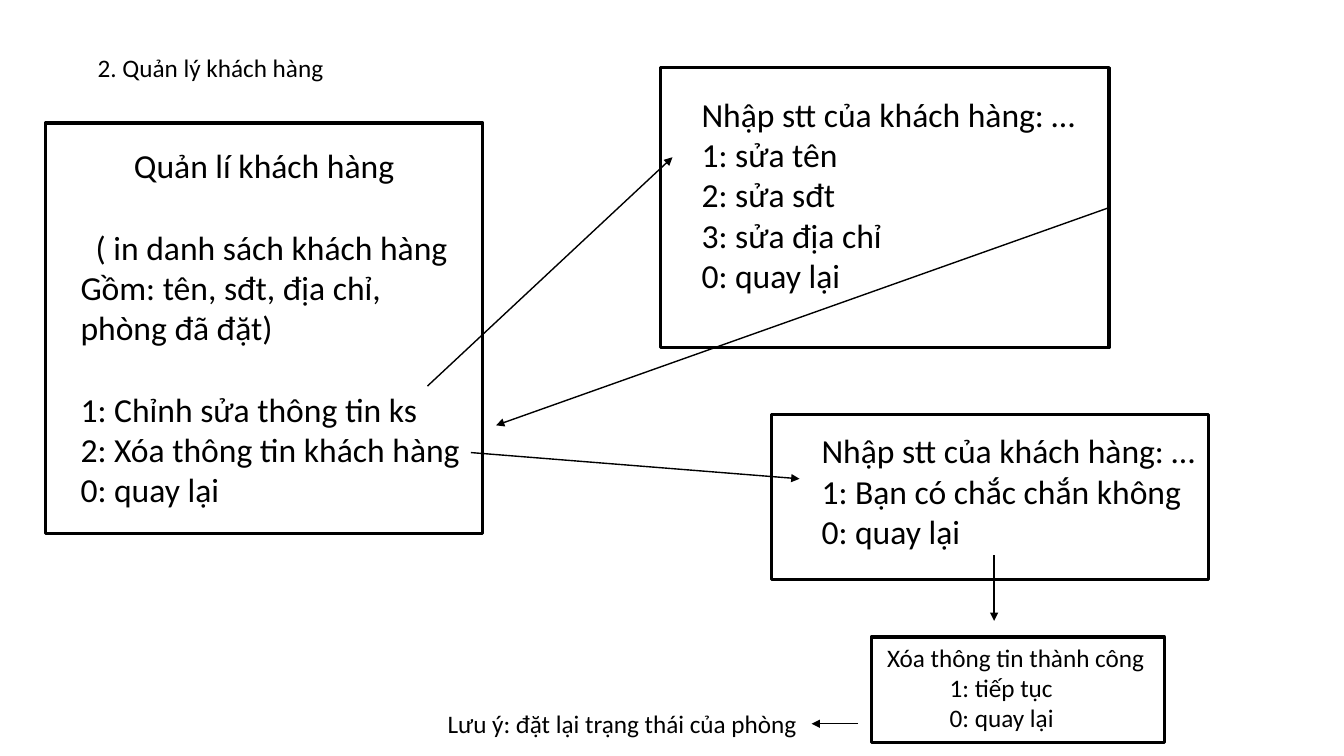
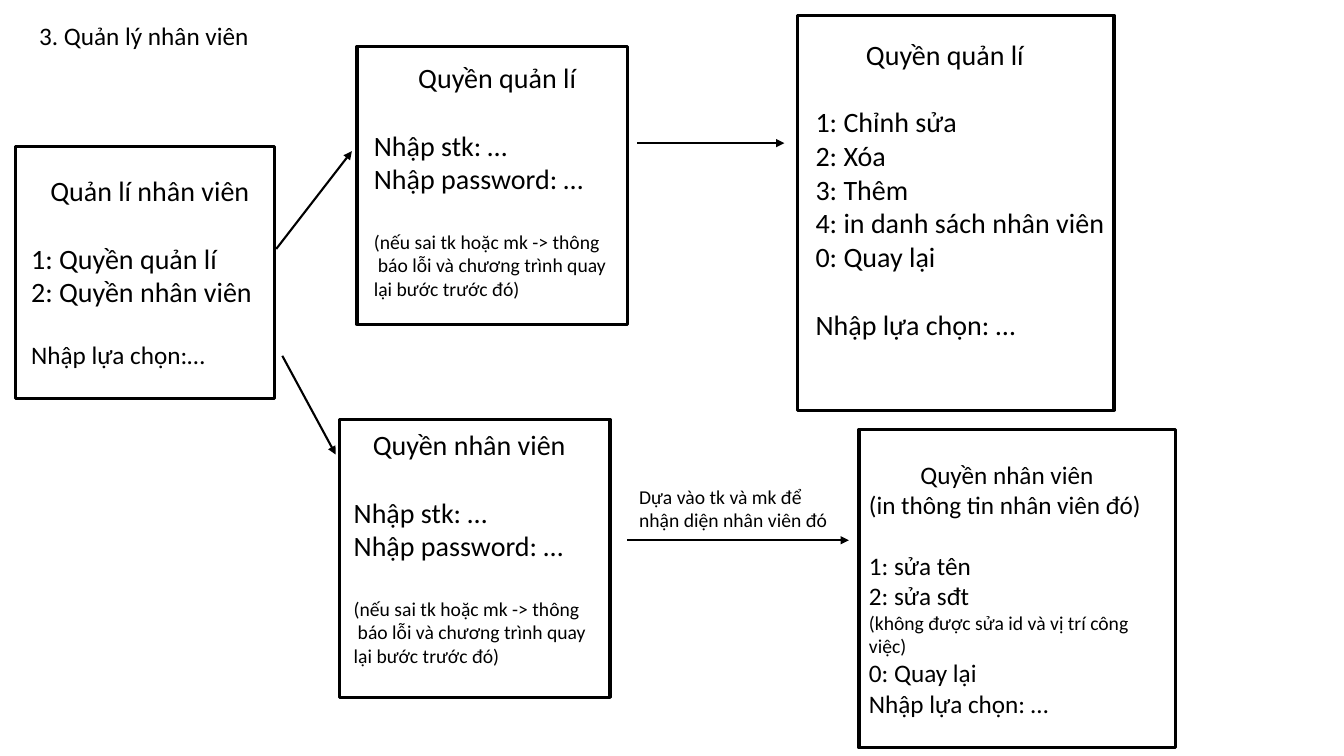
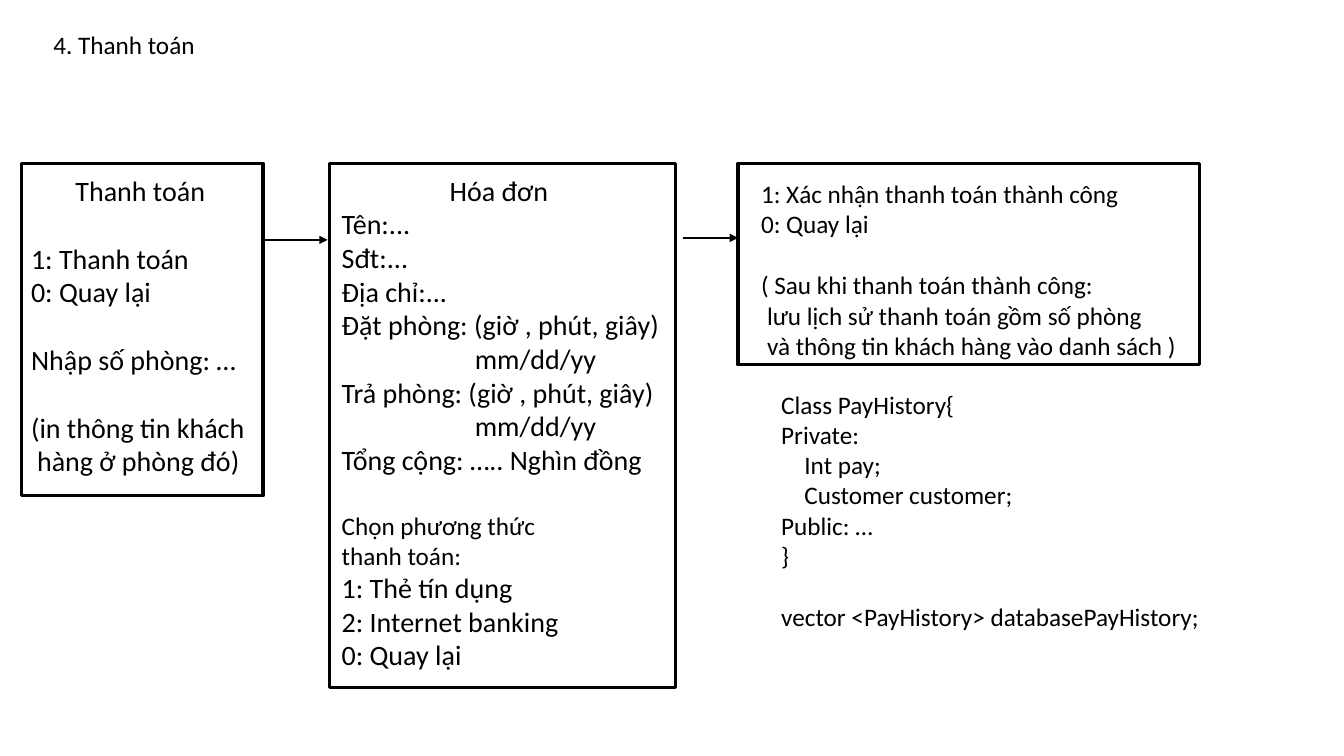
import pptx
import pptx.util
import pptx.dml.color
import pptx.enum.shapes
import pptx.enum.text
import pptx.oxml
import pptx.oxml.ns
from lxml import etree

Inches, Pt = pptx.util.Inches, pptx.util.Pt
RGB = pptx.dml.color.RGBColor.from_string
COLORS = {"ink": "000000", "paper": "FFFFFF"}
LINE_HEIGHT = 1.22

prs = pptx.Presentation()
prs.slide_width, prs.slide_height = Inches(13.33), Inches(7.5)


def write(tf, size, lines, wrap):
    tf.word_wrap = wrap
    for i, line in enumerate(lines):
        text, fmt = (line, {}) if isinstance(line, str) else line
        p = tf.paragraphs[0] if i == 0 else tf.add_paragraph()
        p.alignment = pptx.enum.text.PP_ALIGN.LEFT
        if "gap" in fmt:
            p.space_before = Pt(round(fmt["gap"] * LINE_HEIGHT, 1))
        if "indent" in fmt:
            p._p.get_or_add_pPr().set("marL", str(Inches(fmt["indent"])))
        r = p.add_run()
        r.text = text
        font = {"name": "Calibri", "size": Pt(fmt.get("size", size))}
        for name, value in font.items():
            setattr(r.font, name, value)
        r.font.color.rgb = RGB(COLORS["ink"])


login = [
    "Nhập stk: …",
    "Nhập password: …",
    ("(nếu sai tk hoặc mk -> thông", {"size": 14, "gap": 20}),
    ("báo lỗi và chương trình quay", {"size": 14, "indent": 0.04}),
    ("lại bước trước đó)", {"size": 14}),
]
login[0] = (login[0], {"gap": 20})

customers = {
    "title": ("2. Quản lý khách hàng", 0.87, 0.47, 2.68),
    "boxes": [
        (8.64, 6.32, 2.91, 1.05),
        (7.65, 4.11, 4.34, 1.64),
        (6.55, 0.67, 4.45, 2.78),
        (0.45, 1.22, 4.34, 4.07),
    ],
    "texts": [
        ((0.7, 1.39, 4.08, 3.74), 24, True, [
            ("Quản lí khách hàng", {"indent": 0.53}),
            ("( in danh sách khách hàng", {"indent": 0.15, "gap": 24}),
            "Gồm: tên, sđt, địa chỉ, phòng đã đặt)",
            ("1: Chỉnh sửa thông tin ks", {"gap": 24}),
            "2: Xóa thông tin khách hàng",
            "0: quay lại",
        ]),
        ((6.86, 0.88, 3.94, 2.12), 24, False, [
            "Nhập stt của khách hàng: …",
            "1: sửa tên",
            "2: sửa sđt",
            "3: sửa địa chỉ",
            "0: quay lại",
        ]),
        ((8.05, 4.22, 3.94, 1.31), 24, False, [
            "Nhập stt của khách hàng: …",
            "1: Bạn có chắc chắn không",
            "0: quay lại",
        ]),
        ((8.7, 6.32, 2.79, 1.01), 18, False, [
            "Xóa thông tin thành công",
            ("1: tiếp tục", {"indent": 0.62}),
            ("0: quay lại", {"indent": 0.62}),
        ]),
        ((4.34, 6.98, 3.71, 0.4), 18, False, ["Lưu ý: đặt lại trạng thái của phòng"]),
    ],
    "arrows": [
        (4.24, 3.83, 6.67, 1.56, 1),
        (4.67, 4.49, 7.93, 4.75, 1),
        (11, 2.06, 4.92, 4.22, 1),
        (9.86, 5.51, 9.86, 6.16, 1),
        (8.51, 7.18, 8.05, 7.18, 0.5),
    ],
}

staff = {
    "title": ("3. Quản lý nhân viên", 0.29, 0.15, 2.52),
    "boxes": [
        (7.91, 0.15, 3.14, 3.92),
        (0.15, 1.45, 2.57, 2.5),
        (3.54, 0.46, 2.68, 2.76),
        (3.37, 4.16, 2.68, 2.76),
        (8.52, 4.26, 3.14, 3.16, [
            ("Quyền nhân viên", {"indent": 0.51}),
            "(in thông tin nhân viên đó)",
            ("1: sửa tên", {"gap": 18}),
            "2: sửa sđt",
            ("(không được sửa id và vị trí công việc)", {"size": 14}),
            "0: Quay lại",
            "Nhập lựa chọn: …",
        ]),
    ],
    "texts": [
        ((7.99, 0.32, 3.09, 3.43), 20, False, [
            ("Quyền quản lí", {"indent": 0.5}),
            ("1: Chỉnh sửa", {"gap": 20}),
            "2: Xóa",
            "3: Thêm",
            "4: in danh sách nhân viên",
            "0: Quay lại",
            ("Nhập lựa chọn: …", {"gap": 20}),
        ]),
        ((0.21, 1.67, 2.45, 2.05), 20, False, [
            ("Quản lí nhân viên", {"indent": 0.19}),
            ("1: Quyền quản lí", {"gap": 20}),
            "2: Quyền nhân viên",
            ("Nhập lựa chọn:…", {"size": 18, "gap": 18}),
        ]),
        ((3.61, 0.55, 2.6, 3.13), 20, False, [("Quyền quản lí", {"indent": 0.44})] + login),
        ((3.41, 4.19, 2.6, 3.13), 20, False, [("Quyền nhân viên", {"indent": 0.19})] + login),
        ((6.24, 4.76, 2.09, 0.57), 14, False, ["Dựa vào tk và mk để", "nhận diện nhân viên đó"]),
    ],
    "arrows": [
        (2.74, 2.47, 3.49, 1.5, 1.5),
        (6.32, 1.42, 7.78, 1.42, 1.5),
        (2.8, 3.53, 3.33, 4.51, 1.5),
        (6.22, 5.36, 8.42, 5.36, 1.5),
    ],
}

date = ("mm/dd/yy", {"indent": 1.32})
payment = {
    "title": ("4. Thanh toán", 0.43, 0.24, 2.18),
    "boxes": [
        (0.21, 1.62, 2.4, 3.3),
        (7.32, 1.62, 4.58, 2),
        (3.27, 1.62, 3.43, 5.2),
    ],
    "texts": [
        ((0.21, 1.67, 2.4, 3.43), 20, False, [
            ("Thanh toán", {"indent": 0.44}),
            ("1: Thanh toán", {"gap": 20}),
            "0: Quay lại",
            ("Nhập số phòng: …", {"gap": 20}),
            ("(in thông tin khách", {"gap": 20}),
            ("hàng ở phòng đó)", {"indent": 0.06}),
        ]),
        ((3.29, 1.67, 3.38, 5.42), 20, False, [
            ("Hóa đơn", {"indent": 1.07}),
            "Tên:...",
            "Sđt:...",
            "Địa chỉ:...",
            "Đặt phòng: (giờ , phút, giây)",
            date,
            "Trả phòng: (giờ , phút, giây)",
            date,
            "Tổng cộng: ….. Nghìn đồng",
            ("Chọn phương thức", {"size": 18, "gap": 20}),
            ("thanh toán:", {"size": 18}),
            "1: Thẻ tín dụng",
            "2: Internet banking",
            "0: Quay lại",
        ]),
        ((7.45, 1.72, 4.37, 1.92), 18, False, [
            "1: Xác nhận thanh toán thành công",
            "0: Quay lại",
            ("( Sau khi thanh toán thành công:", {"gap": 18}),
            ("lưu lịch sử thanh toán gồm số phòng", {"indent": 0.06}),
            ("và thông tin khách hàng vào danh sách )", {"indent": 0.06}),
        ]),
        ((7.65, 3.81, 4.38, 2.52), 18, False, [
            "Class PayHistory{",
            "Private:",
            ("Int pay;", {"indent": 0.23}),
            ("Customer customer;", {"indent": 0.23}),
            "Public: …",
            "}",
            ("vector <PayHistory> databasePayHistory;", {"gap": 18}),
        ]),
    ],
    "arrows": [
        (2.63, 2.38, 3.25, 2.38, 1.5),
        (6.77, 2.36, 7.32, 2.36, 1.5),
    ],
}

for page in (customers, staff, payment):
    s = prs.slides.add_slide(prs.slide_layouts[6])
    title, x, y, w = page["title"]
    for x, y, w, h, *content in page["boxes"]:
        sp = s.shapes.add_shape(pptx.enum.shapes.MSO_SHAPE.RECTANGLE,
                                Inches(x), Inches(y), Inches(w), Inches(h))
        sp.shadow.inherit = False
        sp.fill.solid()
        sp.fill.fore_color.rgb = RGB(COLORS["paper"])
        sp.line.color.rgb = RGB(COLORS["ink"])
        sp.line.width = Pt(2.25)
        for lines in content:
            sp.text_frame.vertical_anchor = pptx.enum.text.MSO_ANCHOR.MIDDLE
            write(sp.text_frame, 18, lines, True)

    title, x, y, w = page["title"]
    heading = ((x, y, w, 0.4), 18, True, [title])
    for place, size, wrap, lines in page["texts"] + [heading]:
        sp = s.shapes.add_textbox(*map(Inches, place))
        write(sp.text_frame, size, lines, wrap)

    for x1, y1, x2, y2, width in page["arrows"]:
        sp = s.shapes.add_connector(pptx.enum.shapes.MSO_CONNECTOR.STRAIGHT,
                                    Inches(x1), Inches(y1), Inches(x2), Inches(y2))
        sp.line.color.rgb = RGB(COLORS["ink"])
        sp.line.width = Pt(width)
        tail = etree.SubElement(sp.line._get_or_add_ln(), pptx.oxml.ns.qn("a:tailEnd"))
        tail.set("type", "triangle")
        etree.SubElement(sp._element.spPr, pptx.oxml.ns.qn("a:effectLst"))

prs.save("out.pptx")
